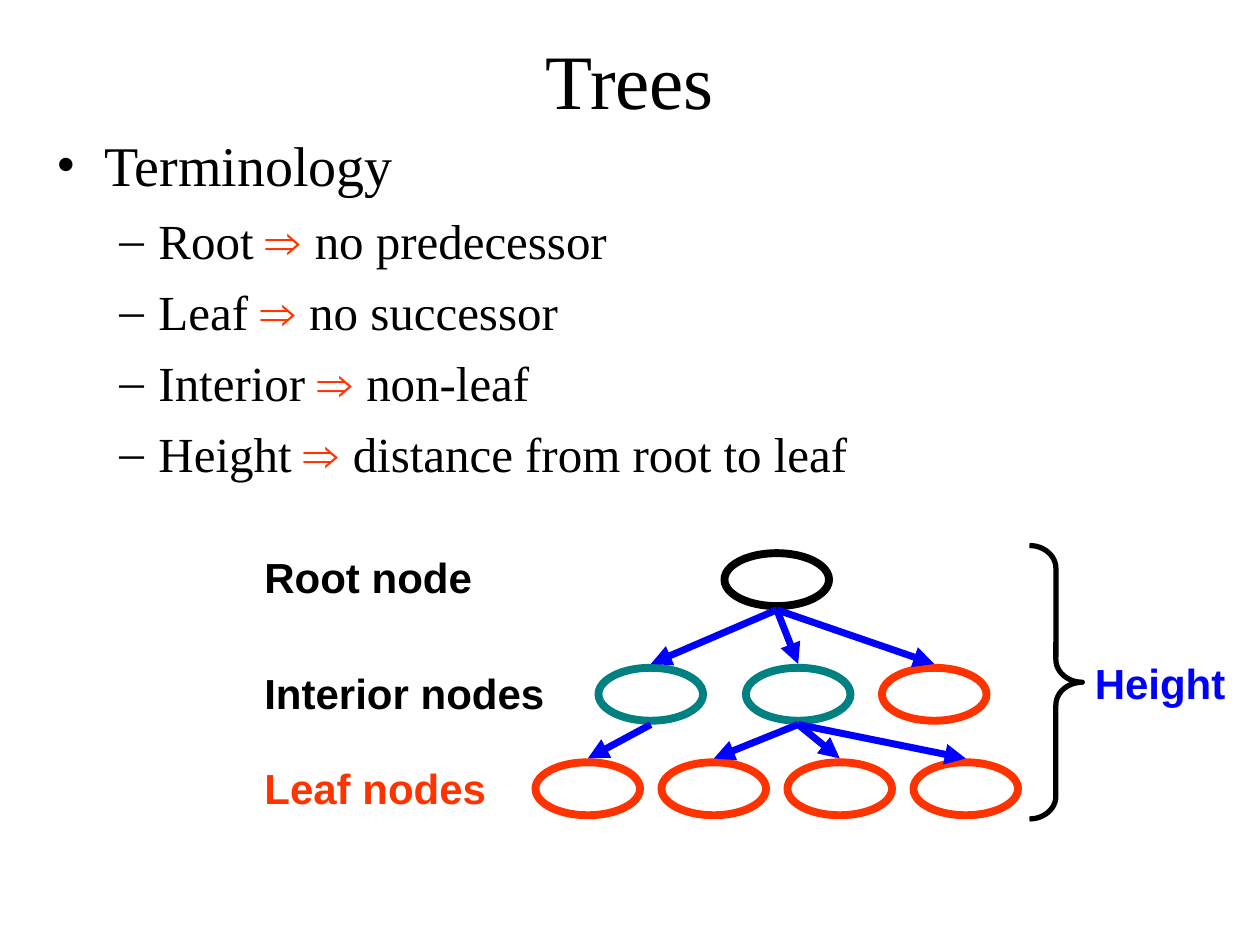
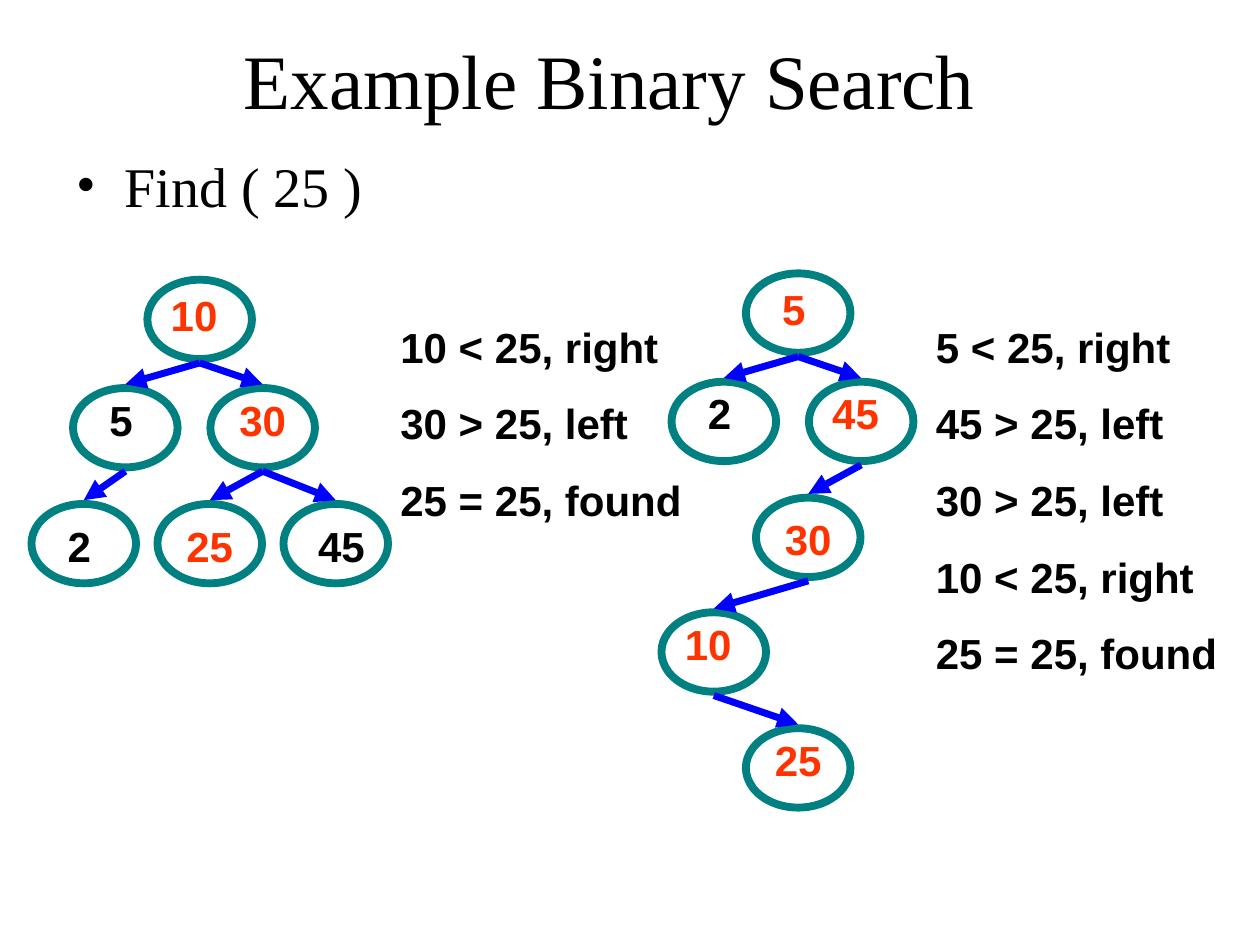
from dataclasses import dataclass

from lxml import etree
from pptx import Presentation
from pptx.dml.color import RGBColor
from pptx.enum.shapes import MSO_CONNECTOR, MSO_SHAPE
from pptx.enum.text import MSO_ANCHOR, PP_ALIGN
from pptx.oxml.ns import qn
from pptx.util import Inches, Pt

ELLIPSE, BRACE = MSO_SHAPE.OVAL, MSO_SHAPE.RIGHT_BRACE
STRAIGHT = MSO_CONNECTOR.STRAIGHT
TOP, MIDDLE = MSO_ANCHOR.TOP, MSO_ANCHOR.MIDDLE
LEFT, CENTER = PP_ALIGN.LEFT, PP_ALIGN.CENTER


@dataclass(frozen=True)
class Theme:
    ink: str = "000000"
    teal: str = "008080"
    red: str = "FF3300"
    blue: str = "0000FF"
    serif: str = "Times New Roman"
    sans: str = "Arial"
    title: int = 44
    topic: int = 32
    detail: int = 28
    label: int = 24
    node_line: float = 4.5
    arrow_line: float = 4
    brace_line: float = 3


THEME = Theme()
NODE_WIDTH = 0.83
ARROW_GAP = 0.03

# Search trees: top of each level, and how far its numbers sit below that top
LEVELS = [(0, 0.03), (0.86, 0), (1.78, 0.08), (2.69, 0), (3.61, 0)]
NUMBER_WIDTHS = {"2": 0.42, "5": 0.42, "10": 0.58, "45": 0.58, "25": 0.67, "30": 0.67}


def color(code):
    return RGBColor.from_string(code)


def write(para, text, font=THEME.sans, size=THEME.label, ink=THEME.ink, bold=False):
    span = para.add_run()
    span.text = text
    span.font.name = font
    span.font.size = Pt(size)
    span.font.bold = bold
    span.font.color.rgb = color(ink)


def text_frame(page, box, anchor=TOP, wrap=True):
    frame = page.shapes.add_textbox(*map(Inches, box)).text_frame
    frame.word_wrap = wrap
    frame.vertical_anchor = anchor
    return frame


def text_lines(page, box, lines, align=LEFT, anchor=TOP, wrap=True, gap=0, **style):
    frame = text_frame(page, box, anchor, wrap)
    for index, line in enumerate(lines):
        para = frame.add_paragraph() if index else frame.paragraphs[0]
        para.alignment = align
        para.space_before = Pt(gap if index else 0)
        write(para, line, **style)


def add_bullet(para, mark, indent, hang):
    props = para._p.get_or_add_pPr()
    props.set("marL", str(Inches(indent)))
    props.set("indent", str(-Inches(hang)))
    tint = etree.SubElement(props, qn("a:buClr"))
    etree.SubElement(tint, qn("a:srgbClr"), val=THEME.ink)
    etree.SubElement(props, qn("a:buFont"), typeface=THEME.serif)
    etree.SubElement(props, qn("a:buChar"), char=mark)


def add_title(page, text, left):
    text_lines(page, (left, 0, 8.5, 1.25), [text], align=CENTER, anchor=MIDDLE,
               font=THEME.serif, size=THEME.title)


def add_body(page, left, top, topic, details=()):
    frame = text_frame(page, (left, top, 8.5, 4.5))
    para = frame.paragraphs[0]
    add_bullet(para, "•", 0.38, 0.38)
    write(para, topic, font=THEME.serif, size=THEME.topic)
    for term, meaning in details:
        para = frame.add_paragraph()
        para.level = 1
        para.space_before = Pt(7)
        add_bullet(para, "–", 0.81, 0.31)
        write(para, term + " ", font=THEME.serif, size=THEME.detail)
        write(para, "⇒ ", size=THEME.detail, ink=THEME.red)
        write(para, meaning, font=THEME.serif, size=THEME.detail)


def add_outline(page, kind, box, ink, weight):
    shape = page.shapes.add_shape(kind, *map(Inches, box))
    shape.shadow.inherit = False
    shape.fill.background()
    shape.line.color.rgb = color(ink)
    shape.line.width = Pt(weight)
    return shape


def add_arrow(page, start, end):
    arrow = page.shapes.add_connector(STRAIGHT, *map(Inches, start + end))
    arrow.line.color.rgb = color(THEME.blue)
    arrow.line.width = Pt(THEME.arrow_line)
    etree.SubElement(arrow.line._get_or_add_ln(), qn("a:tailEnd"), type="triangle")
    etree.SubElement(arrow._element.spPr, qn("a:effectLst"))


def add_tree(page, origin, nodes, edges, height):
    """nodes: name -> (left, top, line colour), measured from the origin."""
    places = {}
    for name, (left, top, ink) in nodes.items():
        x, y = origin[0] + left, origin[1] + top
        places[name] = (x + NODE_WIDTH / 2, y)
        add_outline(page, ELLIPSE, (x, y, NODE_WIDTH, height), ink, THEME.node_line)
    for parent, child in edges:
        x, y = places[parent]
        end_x, end_y = places[child]
        add_arrow(page, (x, y + height + ARROW_GAP), (end_x, end_y - ARROW_GAP))


def add_search_tree(page, origin, nodes, edges, visited, shifts=None):
    """nodes: number -> (left, level); visited numbers are red."""
    add_tree(page, origin,
             {number: (left, LEVELS[level][0], THEME.teal)
              for number, (left, level) in nodes.items()}, edges, 0.63)
    for number, (left, level) in nodes.items():
        top, drop = LEVELS[level]
        inset = 0.17 if len(number) == 1 else 0.08
        inset += (shifts or {}).get(number, 0)
        box = (origin[0] + left + inset, origin[1] + top + drop, NUMBER_WIDTHS[number], 0.5)
        text_lines(page, box, [number], align=CENTER, wrap=False, bold=True,
                   ink=THEME.red if number in visited else THEME.ink)


def add_steps(page, left, top, steps):
    text_lines(page, (left, top, 2.5, 0.61 * len(steps) - 0.11), steps, gap=15, bold=True)


def add_term_diagram(page, left, top):
    # Nodes and arrows
    nodes = {"root": (3.75, 0.06, THEME.ink),
             "first": (2.75, 0.97, THEME.teal),
             "second": (3.92, 0.97, THEME.teal),
             "third": (5, 0.97, THEME.red)}
    leaves = [f"leaf {index}" for index in range(4)]
    for index, leaf in enumerate(leaves):
        nodes[leaf] = (2.25 + index, 1.72, THEME.red)
    edges = [("root", child) for child in ("first", "second", "third")]
    edges += [("first", leaves[0])] + [("second", leaf) for leaf in leaves[1:]]
    add_tree(page, (left, top), nodes, edges, 0.42)

    # Labels, each box a little wider than its text
    for text, x, y, width, ink in [
        ("Root node", 0, 0, 1.95, THEME.ink),
        ("Interior nodes", 0, 0.92, 2.5, THEME.ink),
        ("Leaf nodes", 0, 1.67, 2.05, THEME.red),
        ("Height", 6.59, 0.84, 1.35, THEME.blue),
    ]:
        text_lines(page, (left + x, top + y, width, 0.5), [text], ink=ink, bold=True)

    # Height brace
    brace = add_outline(page, BRACE, (left + 6.17, top, 0.42, 2.17),
                        THEME.ink, THEME.brace_line)
    brace.adjustments[0] = 0.43


def build_terms(page):
    add_title(page, "Trees", 0.75)
    add_body(page, 0.35, 0.99, "Terminology", [
        ("Root", "no predecessor"),
        ("Leaf", "no successor"),
        ("Interior", "non-leaf"),
        ("Height", "distance from root to leaf"),
    ])
    add_term_diagram(page, 2, 4.33)


def build_search(page):
    add_title(page, "Example Binary Search", 0.59)
    add_body(page, 0.51, 1.15, "Find ( 25 )")

    # Balanced tree
    add_search_tree(
        page, (0.25, 2.22),
        {"10": (0.92, 0), "5": (0.33, 1), "30": (1.42, 1),
         "2": (0, 2), "25": (1, 2), "45": (2, 2)},
        [("10", "5"), ("10", "30"), ("5", "2"), ("30", "25"), ("30", "45")],
        visited={"10", "30", "25"}, shifts={"45": 0.09})
    add_steps(page, 3.08, 2.5, ["10 < 25, right", "30 > 25, left", "25 = 25, found"])

    # Unbalanced tree
    add_search_tree(
        page, (5.25, 2.17),
        {"5": (0.67, 0), "2": (0.08, 1), "45": (1.17, 1),
         "30": (0.75, 2), "10": (0, 3), "25": (0.67, 4)},
        [("5", "2"), ("5", "45"), ("45", "30"), ("30", "10"), ("10", "25")],
        visited={"5", "45", "30", "10", "25"})
    add_steps(page, 7.33, 2.5, ["5 < 25, right", "45 > 25, left", "30 > 25, left",
                                "10 < 25, right", "25 = 25, found"])


def main():
    deck = Presentation()
    deck.slide_width, deck.slide_height = Inches(10), Inches(7.5)
    for build in (build_terms, build_search):
        build(deck.slides.add_slide(deck.slide_layouts[6]))
    deck.save("out.pptx")


if __name__ == "__main__":
    main()
